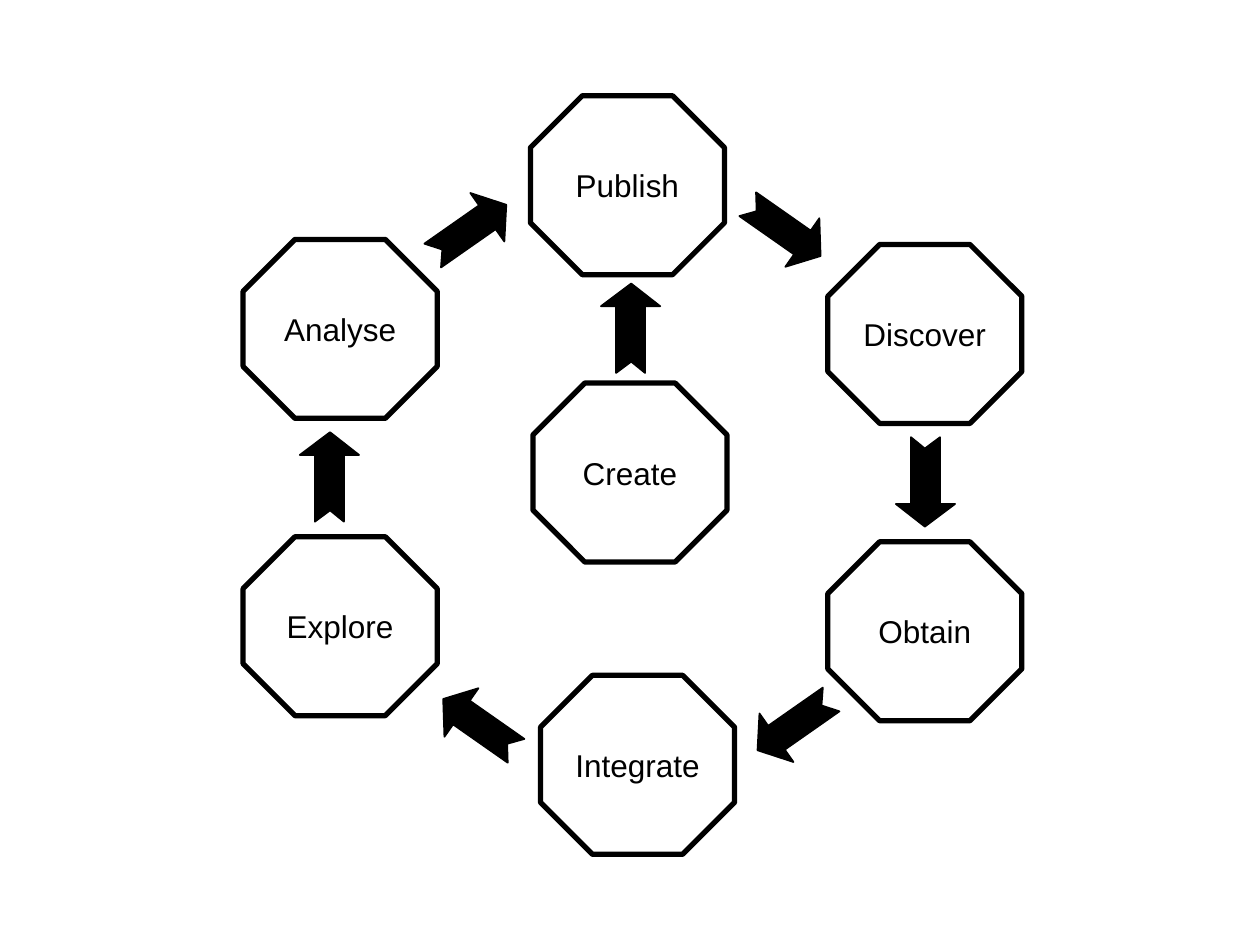
import dataclasses
import typing

import pptx
import pptx.dml.color
import pptx.enum.shapes
import pptx.enum.text
import pptx.util

Inches = pptx.util.Inches
COLORS = {"ink": "000000", "paper": "FFFFFF"}
STEP_W, STEP_H = 1.54, 1.42
ARROW_W, ARROW_H = 0.71, 0.47
# Notched arrow pointing right
ARROW = [(0, 0.12), (0.53, 0.12), (0.53, 0), (0.71, 0.24), (0.53, 0.47),
         (0.53, 0.35), (0, 0.35), (0.09, 0.24)]


@dataclasses.dataclass
class Step:
    name: str
    left: float
    top: float


@dataclasses.dataclass
class Arrow:
    left: float
    top: float
    turn: float


# Parts from back to front; an inner list is a group
PARTS = [
    Step("Analyse", 1.93, 1.9),
    Arrow(2.26, 3.55, 270),
    [Step("Obtain", 6.57, 4.3), Arrow(6.99, 3.59, 90)],
    Arrow(3.37, 1.59, 325),
    [Step("Publish", 4.21, 0.76), Step("Discover", 6.57, 1.94),
     Arrow(5.87, 1.59, 35)],
    [Step("Integrate", 4.29, 5.36), Arrow(5.95, 5.52, 145)],
    [Step("Explore", 1.93, 4.26), Arrow(3.45, 5.52, 215)],
    Step("Create", 4.23, 3.04),
    Arrow(4.65, 2.37, 270),
]


def color(key: str) -> pptx.dml.color.RGBColor:
    return pptx.dml.color.RGBColor.from_string(COLORS[key])


def paint(shape: typing.Any, fill: str, width: float) -> None:
    shape.shadow.inherit = False
    shape.fill.solid()
    shape.fill.fore_color.rgb = color(fill)
    shape.line.color.rgb = color("ink")
    shape.line.width = pptx.util.Pt(width)


def draw_step(shapes: typing.Any, step: Step) -> None:
    shape = shapes.add_shape(
        pptx.enum.shapes.MSO_SHAPE.OCTAGON, Inches(step.left),
        Inches(step.top), Inches(STEP_W), Inches(STEP_H))
    shape.adjustments[0] = 0.29
    paint(shape, "paper", 3)
    frame = shape.text_frame
    frame.text = step.name
    frame.word_wrap = False
    frame.vertical_anchor = pptx.enum.text.MSO_ANCHOR.MIDDLE
    line = frame.paragraphs[0]
    line.alignment = pptx.enum.text.PP_ALIGN.CENTER
    font = line.runs[0].font
    font.name = "Arial"
    font.size = pptx.util.Pt(18)
    font.color.rgb = color("ink")


def draw_arrow(shapes: typing.Any, arrow: Arrow) -> None:
    points = [(Inches(arrow.left + x), Inches(arrow.top + y))
              for x, y in ARROW]
    pen = shapes.build_freeform(*points[0])
    pen.add_line_segments(points[1:], close=True)
    shape = pen.convert_to_shape()
    shape.rotation = arrow.turn
    paint(shape, "ink", 1)


def draw(shapes: typing.Any, parts: list) -> None:
    for part in parts:
        if isinstance(part, list):
            draw(shapes.add_group_shape().shapes, part)
        elif isinstance(part, Step):
            draw_step(shapes, part)
        else:
            draw_arrow(shapes, part)


def main() -> None:
    deck = pptx.Presentation()
    deck.slide_width, deck.slide_height = Inches(10), Inches(7.5)
    # Blank layout: the cycle has no title or list
    slide = deck.slides.add_slide(deck.slide_layouts[6])
    draw(slide.shapes, PARTS)
    deck.save("out.pptx")


if __name__ == "__main__":
    main()
